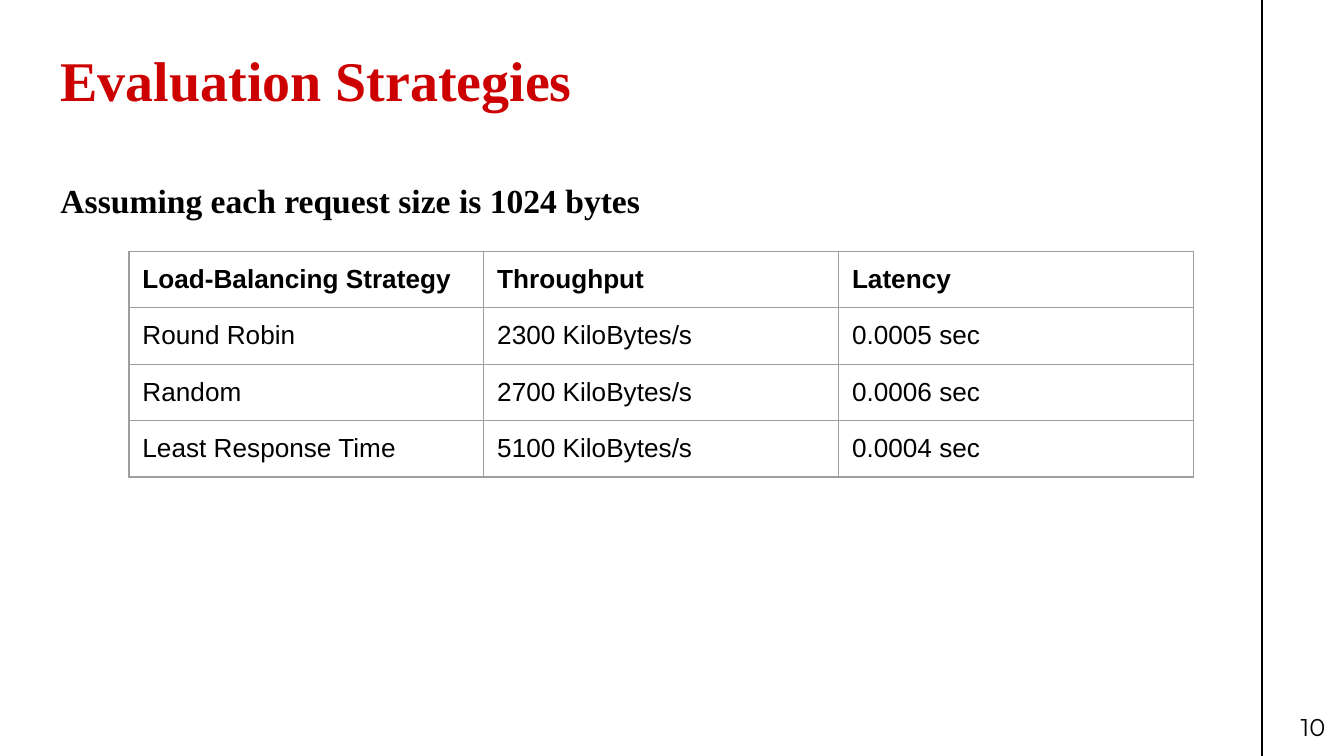
import pptx
import pptx.dml.color
import pptx.enum.shapes
import pptx.enum.text
import pptx.oxml.ns
import pptx.util
import lxml.etree

Inches, Pt = pptx.util.Inches, pptx.util.Pt
Align, Anchor = pptx.enum.text.PP_ALIGN, pptx.enum.text.MSO_ANCHOR
qn = pptx.oxml.ns.qn

COLORS = {"head": "CC0000", "text": "000000", "grid": "9E9E9E"}

# Font formats
HEAD = {"name": "Times New Roman", "size": Pt(30), "bold": True}
LEAD = {**HEAD, "size": Pt(18)}
PAGE = {"name": "Montserrat", "size": Pt(13), "bold": False}
CELL = {"name": "Arial", "size": Pt(14), "bold": False}
TOP = {**CELL, "bold": True}

# Frame and cell formats
PAD = {f"margin_{side}": Inches(0.1) for side in ("left", "top", "right", "bottom")}
FRAME = {**PAD, "word_wrap": True, "auto_size": pptx.enum.text.MSO_AUTO_SIZE.NONE}

ROWS = [
    ("Load-Balancing Strategy", "Throughput", "Latency"),
    ("Round Robin", "2300 KiloBytes/s", "0.0005 sec"),
    ("Random", "2700 KiloBytes/s", "0.0006 sec"),
    ("Least Response Time", "5100 KiloBytes/s", "0.0004 sec"),
]


def apply(item, form):
    for name, value in form.items():
        setattr(item, name, value)


def write(para, text, form, color="text", align=Align.LEFT):
    para.alignment = align
    run = para.add_run()
    run.text = text
    apply(run.font, form)
    run.font.color.rgb = pptx.dml.color.RGBColor.from_string(COLORS[color])


def add_title(slide):
    title = slide.shapes.title
    apply(title, {"left": Inches(0.35), "top": Inches(0.24),
                  "width": Inches(8.46), "height": Inches(1.84)})
    frame = title.text_frame
    apply(frame, {**FRAME, "vertical_anchor": Anchor.TOP})
    write(frame.paragraphs[0], "Evaluation Strategies", HEAD, "head")
    lead = frame.add_paragraph()
    lead.space_before = Pt(36)
    write(lead, "Assuming each request size is 1024 bytes", LEAD)


def add_rule(slide, x, end):
    rule = slide.shapes.add_connector(
        pptx.enum.shapes.MSO_CONNECTOR.STRAIGHT, x, 0, x, end)
    rule.line.width = Pt(0.75)
    rule.line.color.rgb = pptx.dml.color.RGBColor.from_string(COLORS["text"])
    lxml.etree.SubElement(rule._element.spPr, qn("a:effectLst"))


def add_page(slide, text):
    box = slide.shapes.add_textbox(Inches(9.36), Inches(5.19), Inches(0.6), Inches(0.43))
    apply(box.text_frame, {**FRAME, "vertical_anchor": Anchor.MIDDLE})
    write(box.text_frame.paragraphs[0], text, PAGE, align=Align.RIGHT)


def add_edges(cell):
    props = cell._tc.get_or_add_tcPr()
    for side in "LRTB":
        edge = lxml.etree.SubElement(props, qn(f"a:ln{side}"), w=str(Pt(0.75)))
        fill = lxml.etree.SubElement(edge, qn("a:solidFill"))
        lxml.etree.SubElement(fill, qn("a:srgbClr"), val=COLORS["grid"])


def add_grid(slide, rows):
    wide, high = Inches(2.64), Inches(0.42)
    count = len(rows[0])
    table = slide.shapes.add_table(len(rows), count, Inches(0.96), Inches(1.87),
                                   wide * count, high * len(rows)).table
    table.horz_banding = False
    for col in table.columns:
        col.width = wide
    for r, row in enumerate(rows):
        table.rows[r].height = high
        for c, text in enumerate(row):
            cell = table.cell(r, c)
            apply(cell, PAD)
            add_edges(cell)
            cell.fill.background()
            write(cell.text_frame.paragraphs[0], text, CELL if r else TOP)


def main():
    deck = pptx.Presentation()
    # Widescreen, 16 to 9
    wide = Inches(10)
    apply(deck, {"slide_width": wide, "slide_height": wide * 9 // 16})
    slide = deck.slides.add_slide(deck.slide_layouts.get_by_name("Title Only"))
    add_rule(slide, Inches(9.39), deck.slide_height)
    add_title(slide)
    add_page(slide, "10")
    add_grid(slide, ROWS)
    deck.save("out.pptx")


if __name__ == "__main__":
    main()
